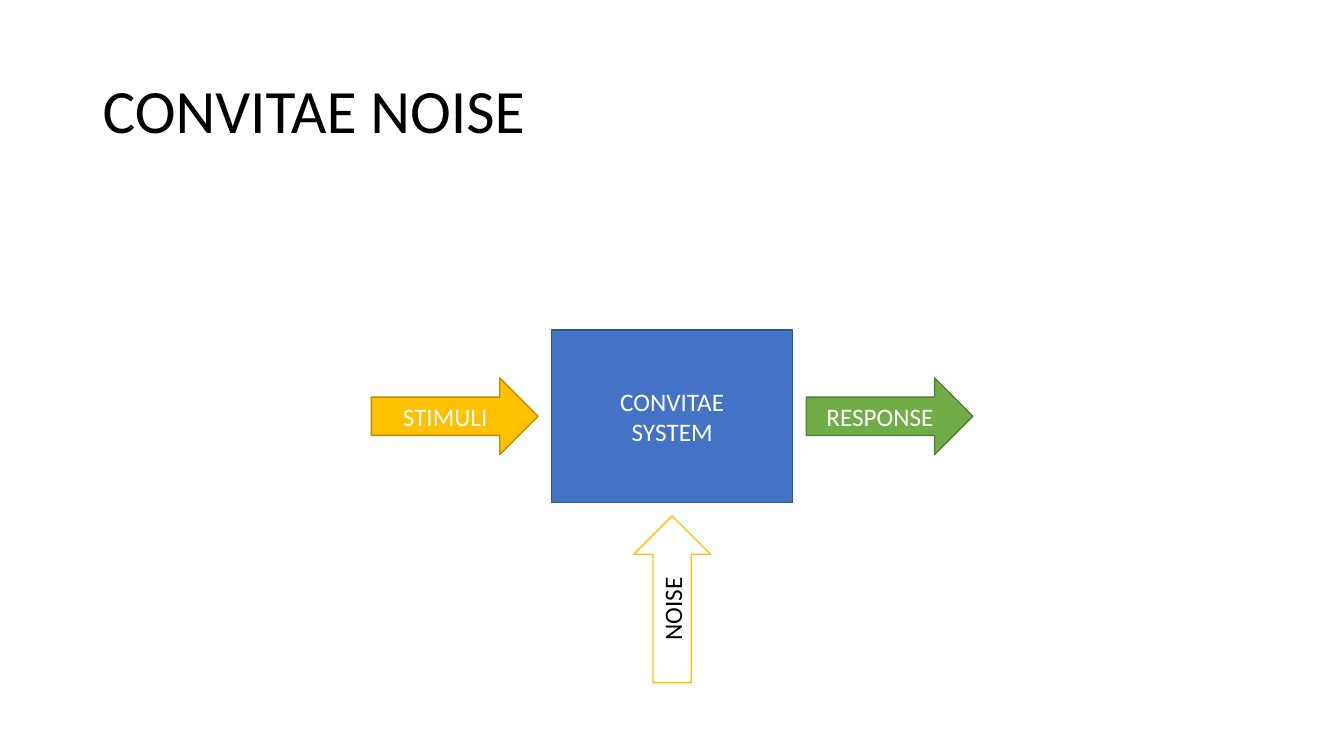
from pptx import Presentation
from pptx.dml.color import RGBColor
from pptx.enum.shapes import MSO_SHAPE
from pptx.enum.text import MSO_ANCHOR, MSO_AUTO_SIZE, PP_ALIGN
from pptx.util import Cm, Pt

BLACK = RGBColor(0x00, 0x00, 0x00)
WHITE = RGBColor(0xFF, 0xFF, 0xFF)
BLUE = RGBColor(0x44, 0x72, 0xC4)
NAVY = RGBColor(0x32, 0x54, 0x91)
GOLD = RGBColor(0xFF, 0xC0, 0x00)
BROWN = RGBColor(0xBD, 0x8E, 0x00)
GREEN = RGBColor(0x70, 0xAD, 0x47)
MOSS = RGBColor(0x53, 0x80, 0x35)


def write(shape, text, size=18, color=WHITE, align=PP_ALIGN.CENTER, space=1.0):
    frame = shape.text_frame
    frame.text = text
    frame.word_wrap = True
    frame.auto_size = MSO_AUTO_SIZE.NONE
    frame.vertical_anchor = MSO_ANCHOR.MIDDLE
    for para in frame.paragraphs:
        para.alignment = align
        para.line_spacing = space
        para.font.name = "Calibri"
        para.font.size = Pt(size)
        para.font.color.rgb = color


def block(slide, kind, mid, size, text, fill, line, color=WHITE, turn=0):
    (x, y), (wide, high) = mid, size
    shape = slide.shapes.add_shape(
        kind, Cm(x - wide / 2), Cm(y - high / 2), Cm(wide), Cm(high))
    shape.shadow.inherit = False
    shape.rotation = turn
    shape.fill.solid()
    shape.fill.fore_color.rgb = fill
    shape.line.color.rgb = line
    shape.line.width = Pt(1)
    write(shape, text, color=color)


def title(slide, left, top, wide, high):
    head = slide.shapes.title
    head.left, head.top = Cm(left), Cm(top)
    head.width, head.height = Cm(wide), Cm(high)
    write(head, "CONVITAE NOISE", size=44, color=BLACK,
          align=PP_ALIGN.LEFT, space=0.9)


def system(slide, left, top, wide, high):
    x, y = left + wide / 2, top + high / 2
    arrow = (4.2, 1.93)
    reach = arrow[0] / 2 + 0.34
    block(slide, MSO_SHAPE.RECTANGLE, (x, y), (wide, high),
          "CONVITAE\nSYSTEM", BLUE, NAVY)
    flows = [
        ("STIMULI", (left - reach, y), GOLD, BROWN, WHITE, 0),
        ("RESPONSE", (left + wide + reach, y), GREEN, MOSS, WHITE, 0),
        ("NOISE", (x, top + high + reach), WHITE, GOLD, BLACK, 270),
    ]
    for text, mid, fill, line, color, turn in flows:
        block(slide, MSO_SHAPE.RIGHT_ARROW, mid, arrow, text,
              fill, line, color, turn)


deck = Presentation()
deck.slide_width, deck.slide_height = Cm(33.87), Cm(19.05)
slide = deck.slides.add_slide(deck.slide_layouts[5])
title(slide, 2.33, 1.01, 29.21, 3.68)
system(slide, 13.9, 8.32, 6.08, 4.34)
deck.save("out.pptx")
